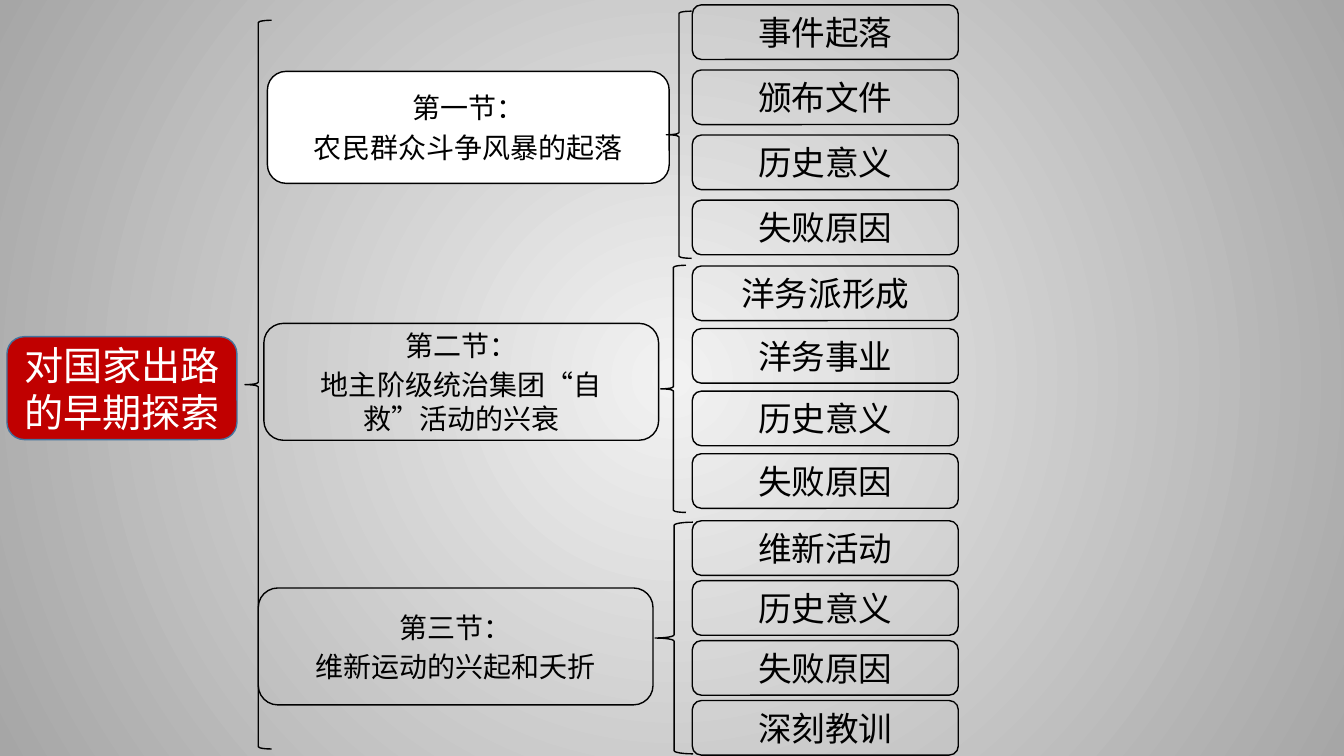
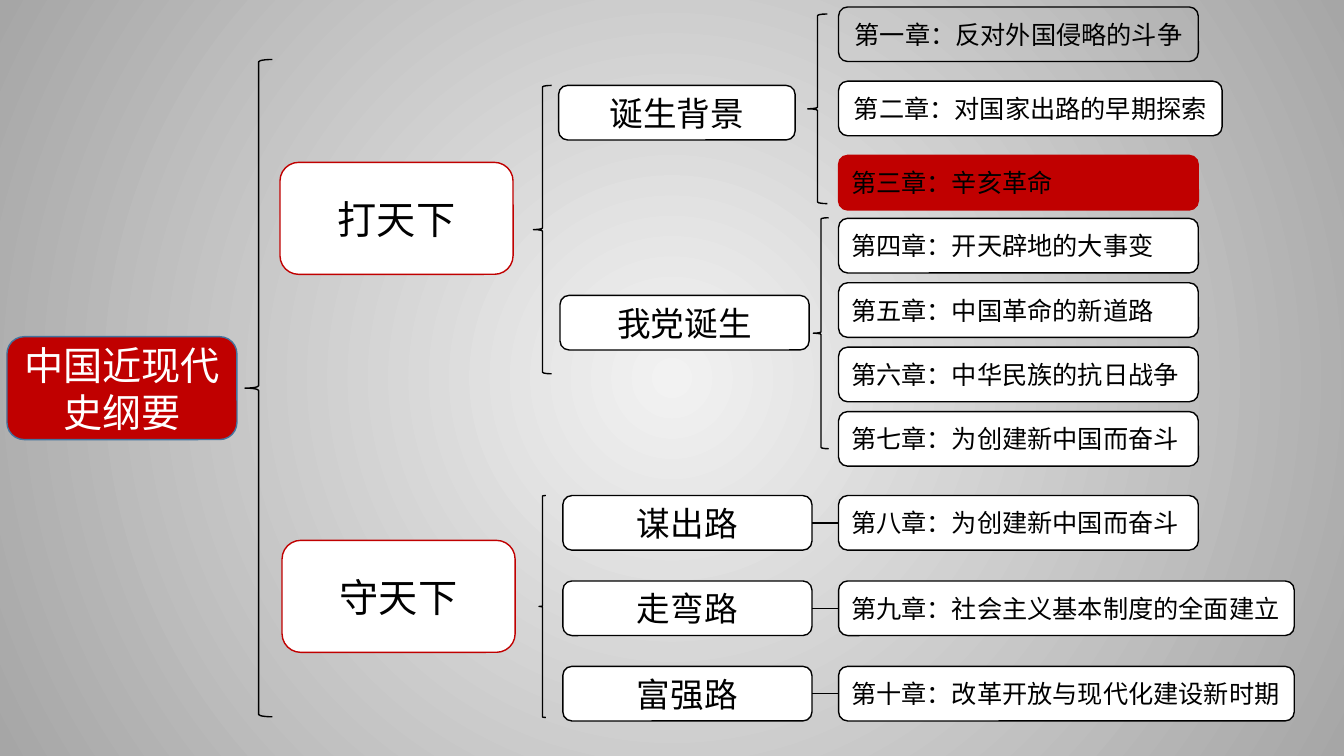
"""Builds two mind-map slides outlining a modern Chinese history course."""
from dataclasses import dataclass

from pptx import Presentation
from pptx import util as u
from pptx.dml.color import RGBColor
from pptx.enum import shapes, text
from pptx.oxml import parse_xml
from pptx.oxml.ns import nsdecls, qn


@dataclass(frozen=True)
class Theme:
    font: str = "Noto Sans CJK SC"
    black: str = "000000"
    white: str = "FFFFFF"
    red: str = "C00000"
    root_edge: str = "43739E"
    glow: str = "F2F2F2"
    rim: str = "A6A6A6"
    root_size: int = 28
    topic_size: int = 24
    section_size: int = 20
    chapter_size: int = 18
    line: int = 1
    row: int = 39


theme = Theme()
CENTER = text.PP_ALIGN.CENTER
LEFT = text.PP_ALIGN.LEFT


def add_box(page, place, lines, size, fill=None, edge=theme.black,
            color=theme.black, align=CENTER, inset=7.2):
    box = page.shapes.add_shape(shapes.MSO_SHAPE.ROUNDED_RECTANGLE, *map(u.Pt, place))
    box.shadow.inherit = False
    if fill:
        box.fill.solid()
        box.fill.fore_color.rgb = RGBColor.from_string(fill)
    else:
        box.fill.background()
    box.line.color.rgb = RGBColor.from_string(edge)
    box.line.width = u.Pt(theme.line)
    frame = box.text_frame
    frame.word_wrap = True
    frame.vertical_anchor = text.MSO_ANCHOR.MIDDLE
    frame.margin_left = frame.margin_right = u.Pt(inset)
    for index, line in enumerate(lines):
        para = frame.add_paragraph() if index else frame.paragraphs[0]
        para.alignment = align
        if index:
            para.space_before = u.Pt(size * 0.2)
        span = para.add_run()
        span.text = line
        span.font.size = u.Pt(size)
        span.font.color.rgb = RGBColor.from_string(color)
        span.font.name = theme.font
        span._r.get_or_add_rPr().append(
            parse_xml(f'<a:ea {nsdecls("a")} typeface="{theme.font}"/>'))
    return box


def add_brace(page, *place):
    brace = page.shapes.add_shape(shapes.MSO_SHAPE.LEFT_BRACE, *map(u.Pt, place))
    brace.shadow.inherit = False
    brace.fill.background()
    brace.line.color.rgb = RGBColor.from_string(theme.black)
    brace.line.width = u.Pt(theme.line)


deck = Presentation()
deck.slide_width, deck.slide_height = u.Pt(960), u.Pt(540)

backdrop = deck.slide_master.background.fill
backdrop.gradient()
for stop, color, position in zip(backdrop.gradient_stops, (theme.glow, theme.rim), (0, 1)):
    stop.color.rgb = RGBColor.from_string(color)
    stop.position = position
gradient = deck.slide_master.element.find(".//" + qn("a:gradFill"))
gradient.replace(gradient.find(qn("a:lin")), parse_xml(
    f'<a:path {nsdecls("a")} path="circle">'
    '<a:fillToRect l="50000" t="50000" r="50000" b="50000"/></a:path>'))

pages = []
for root in ("对国家出路的早期探索", "中国近现代史纲要"):
    page = deck.slides.add_slide(deck.slide_layouts[6])
    add_box(page, (5, 240.5, 164.3, 73.5), [root], theme.root_size,
            theme.red, theme.root_edge, theme.white)
    pages.append(page)
chapter_page, course_page = pages

add_brace(chapter_page, 175, 14.5, 19, 520.5)
sections = [
    ((191, 51, 287, 80), theme.white, ["第一节：", "农民群众斗争风暴的起落"],
     (476, 8, 18, 176.5), 3.5, 46.5, ["事件起落", "颁布文件", "历史意义", "失败原因"]),
    ((188.5, 231, 282, 83.5), None, ["第二节：", "地主阶级统治集团“自救”活动的兴衰"],
     (472, 189.5, 18, 176.5), 190, 44.7, ["洋务派形成", "洋务事业", "历史意义", "失败原因"]),
    ((184.5, 420, 282, 83.5), None, ["第三节：", "维新运动的兴起和夭折"],
     (468, 373, 27, 165.5), 372, 42.8, ["维新活动", "历史意义", "失败原因", "深刻教训"]),
]
for place, fill, heading, brace_place, top, pitch, topics in sections:
    add_box(chapter_page, place, heading, theme.section_size, fill, inset=28)
    add_brace(chapter_page, *brace_place)
    for index, topic in enumerate(topics):
        add_box(chapter_page, (494.5, top + index * pitch, 190, theme.row),
                [topic], theme.topic_size)

for brace_place in ((175, 42.5, 19.5, 469.5), (381, 61, 13, 206), (385, 354, 5, 158.5),
                    (577, 10, 14, 135.5), (581, 155.5, 11, 165)):
    add_brace(course_page, *brace_place)
for left, top, stage in ((200, 116, "打天下"), (201.5, 386, "守天下")):
    add_box(course_page, (left, top, 166.5, 80), [stage], theme.root_size,
            theme.white, theme.red)
for left, top, width, period in ((399, 61, 169, "诞生背景"), (400, 211, 178, "我党诞生")):
    add_box(course_page, (left, top, width, theme.row), [period],
            theme.topic_size, theme.white)

chapter_groups = [
    (5, 53, [("第一章：反对外国侵略的斗争", 257, None, theme.black, CENTER),
             ("第二章：对国家出路的早期探索", 274, theme.white, theme.black, CENTER),
             ("第三章：辛亥革命", 257, theme.red, theme.red, LEFT)]),
    (156, 46, [(title, 257, theme.white, theme.black, LEFT) for title in (
        "第四章：开天辟地的大事变", "第五章：中国革命的新道路",
        "第六章：中华民族的抗日战争", "第七章：为创建新中国而奋斗")]),
    (354, 61, [(title, width, theme.white, theme.black, LEFT) for title, width in (
        ("第八章：为创建新中国而奋斗", 257),
        ("第九章：社会主义基本制度的全面建立", 325.5),
        ("第十章：改革开放与现代化建设新时期", 325.5))]),
]
for top, pitch, chapters in chapter_groups:
    chapter_boxes = [
        add_box(course_page, (599, top + index * pitch, width, theme.row), [title],
                theme.chapter_size, fill, edge, align=align)
        for index, (title, width, fill, edge, align) in enumerate(chapters)]

for road, chapter_box in zip(("谋出路", "走弯路", "富强路"), chapter_boxes):
    road_box = add_box(course_page, (402, chapter_box.top.pt, 178, theme.row), [road],
                       theme.topic_size, theme.white)
    link = course_page.shapes.add_connector(shapes.MSO_CONNECTOR.STRAIGHT, 0, 0, 0, 0)
    link.begin_connect(road_box, 3)
    link.end_connect(chapter_box, 1)
    link.line.color.rgb = RGBColor.from_string(theme.black)
    link.line.width = u.Pt(theme.line)
    link._element.spPr.append(parse_xml(f'<a:effectLst {nsdecls("a")}/>'))

deck.save("out.pptx")
